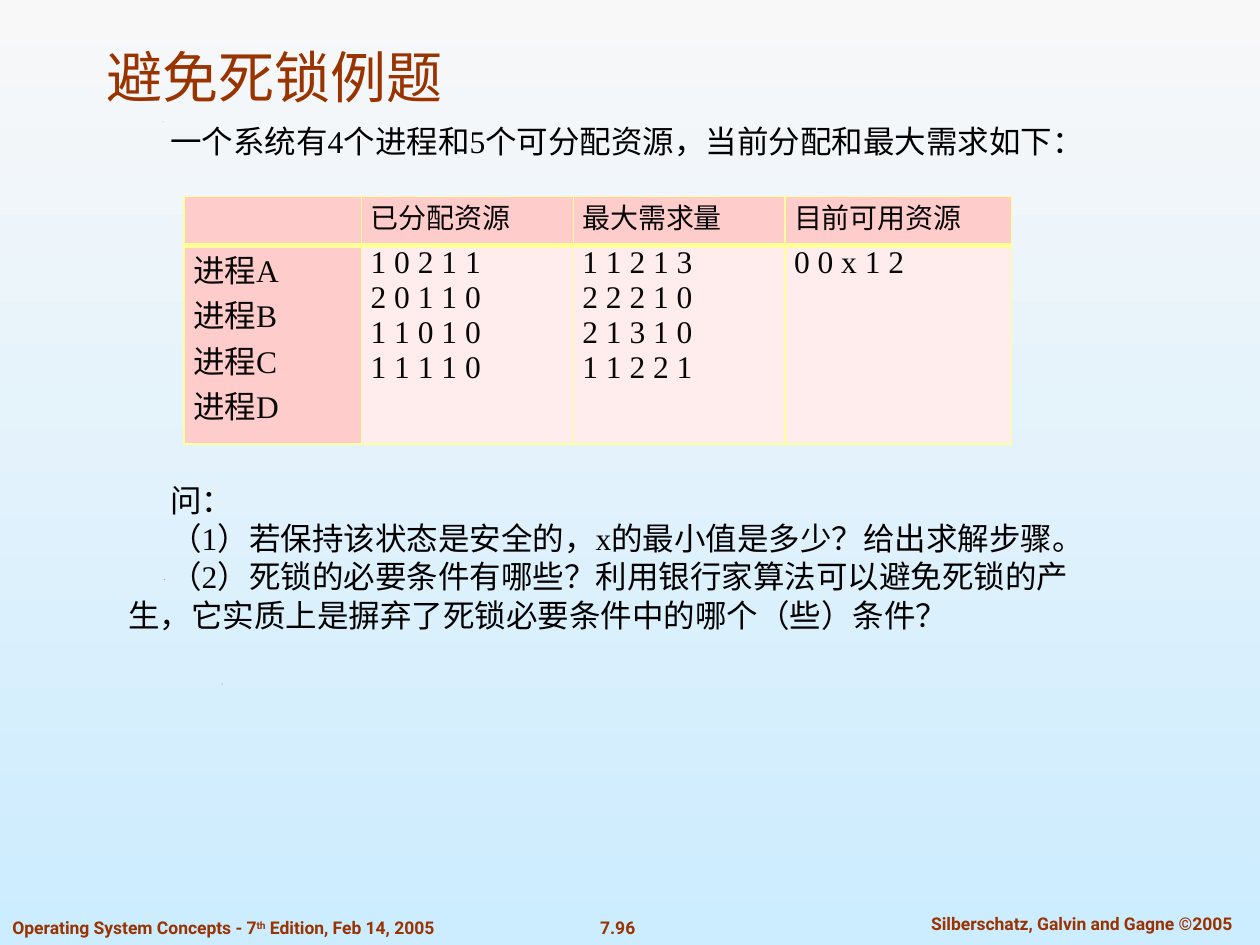
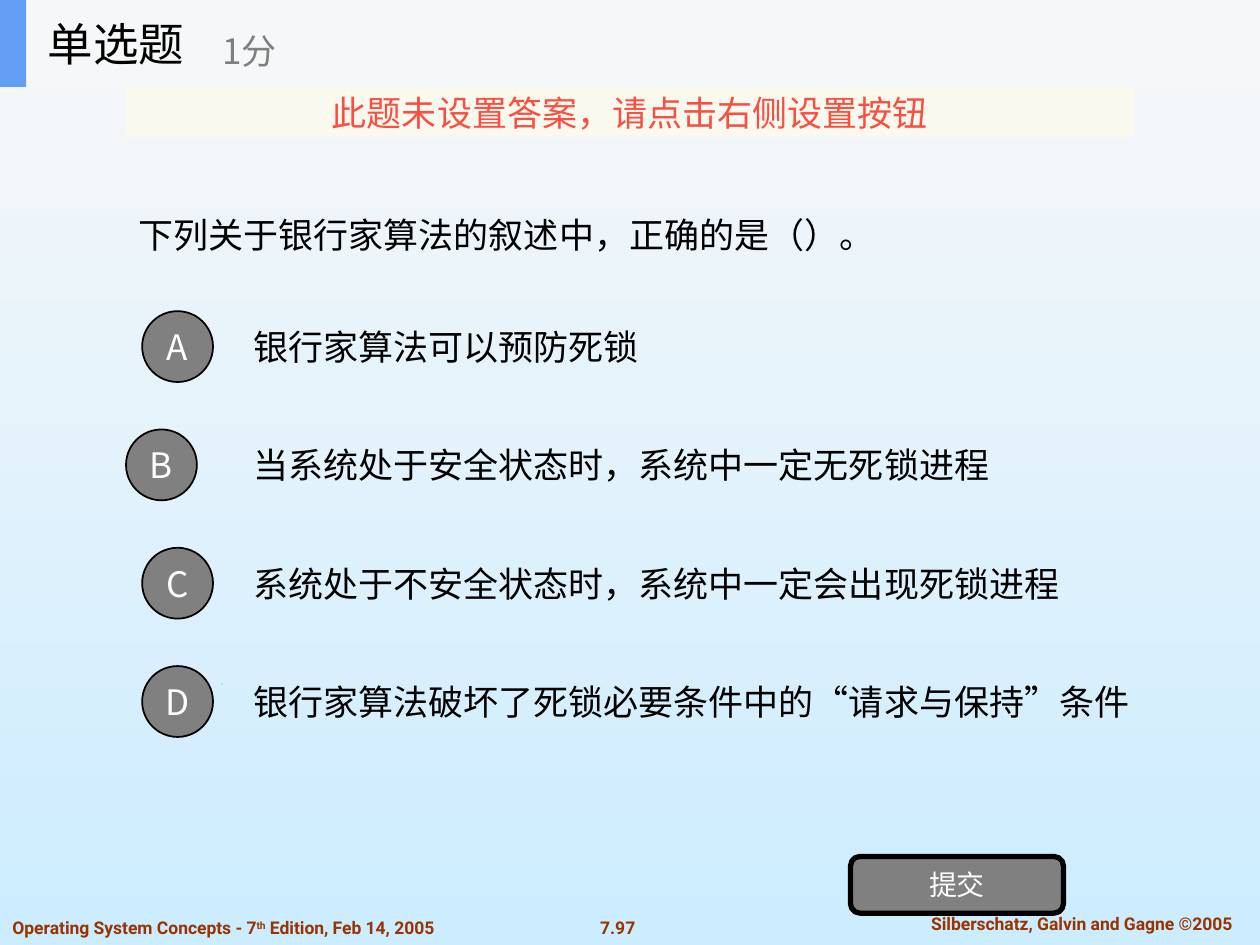
from lxml import etree
from pptx import Presentation
from pptx.dml.color import RGBColor
from pptx.enum import shapes, text
from pptx.oxml import ns
from pptx.util import Pt

BLACK = RGBColor(0x00, 0x00, 0x00)
WHITE = RGBColor(0xFF, 0xFF, 0xFF)
GRAY = RGBColor(0x80, 0x80, 0x80)
BROWN = RGBColor(0x99, 0x33, 0x00)
SKY_TOP = RGBColor(0xF8, 0xF8, 0xF8)
SKY_BOTTOM = RGBColor(0xCC, 0xEC, 0xFF)
HEADER_PINK = RGBColor(0xFF, 0xCC, 0xCC)
CELL_PINK = RGBColor(0xFF, 0xEC, 0xEC)
BORDER_YELLOW = RGBColor(0xFF, 0xFF, 0x99)
TABLE_INK = RGBColor(0x08, 0x08, 0x08)
BAND = RGBColor(0xF6, 0xF7, 0xF8)
BLUE = RGBColor(0x63, 0x9E, 0xF4)
NOTICE_FILL = RGBColor(0xFB, 0xFA, 0xEF)
NOTICE_RED = RGBColor(0xF8, 0x4F, 0x41)

CJK, ROBOTO, TIMES = "Noto Sans CJK SC", "Roboto", "Times New Roman"
LEFT, CENTER, JUSTIFY = text.PP_ALIGN.LEFT, text.PP_ALIGN.CENTER, text.PP_ALIGN.JUSTIFY
TOP, MIDDLE, BOTTOM = (text.MSO_ANCHOR.TOP, text.MSO_ANCHOR.MIDDLE,
                       text.MSO_ANCHOR.BOTTOM)
SPECKS = [(126.7, 391), (93.6, 331.2), (406.8, 331.2), (92.9, 69.8)]


class Deck:
    """Holds the shared style and the current slide."""

    def __init__(self):
        self.presentation = Presentation()
        self.presentation.slide_width = Pt(720)
        self.presentation.slide_height = Pt(540)
        self.slide = None

    def new_slide(self, number):
        layout = self.presentation.slide_layouts[6]
        self.slide = self.presentation.slides.add_slide(layout)
        fill = self.slide.background.fill
        fill.gradient()
        fill.gradient_angle = 270
        for stop, color in zip(fill.gradient_stops, (SKY_TOP, SKY_BOTTOM)):
            stop.color.rgb = color
        for x, y in SPECKS:
            self.speck(x, y)
        footer = dict(size=10, font=ROBOTO, color=BROWN, bold=True)
        self.text((324, 520.5, 58, 19.5), [number], align=CENTER, **footer)
        self.text((511.2, 518.4, 213.8, 19.5),
                  ["Silberschatz, Galvin and Gagne ©2005"], align=CENTER, **footer)
        frame = self.text((0, 520.5, 301.7, 19.5),
                          ["Operating System Concepts - 7"], **footer)
        paragraph = frame.paragraphs[0]
        ordinal = self.run(paragraph, "th", **footer)
        ordinal.font._element.set("baseline", "30000")
        self.run(paragraph, " Edition, Feb 14, 2005", **footer)

    def speck(self, x, y):
        builder = self.slide.shapes.build_freeform(Pt(x), Pt(y))
        builder.add_line_segments([(Pt(x + 0.5), Pt(y - 0.3)), (Pt(x + 0.3), Pt(y))])
        self.paint(builder.convert_to_shape(), BLACK)

    def paint(self, shape, fill, line=None, width=1):
        shape.shadow.inherit = False
        shape.fill.solid()
        shape.fill.fore_color.rgb = fill
        if line is None:
            shape.line.fill.background()
        else:
            shape.line.color.rgb = line
            shape.line.width = Pt(width)

    def run(self, paragraph, words, size=20, font=CJK, color=BLACK, bold=False):
        run = paragraph.add_run()
        run.text = words
        run.font.size = Pt(size)
        run.font.bold = bold
        run.font.color.rgb = color
        run.font.name = font
        etree.SubElement(run.font._element, ns.qn("a:ea"), typeface=CJK)
        return run

    def paragraphs(self, frame, lines, align=LEFT, indent=0, spacing=None, **style):
        for index, words in enumerate(lines):
            paragraph = frame.add_paragraph() if index else frame.paragraphs[0]
            paragraph.alignment = align
            if spacing:
                paragraph.line_spacing = Pt(spacing)
            if indent:
                properties = paragraph._p.get_or_add_pPr()
                properties.set("marL", "0")
                properties.set("indent", str(Pt(indent)))
            self.run(paragraph, words, **style)

    def text(self, box, lines, anchor=TOP, **style):
        frame = self.slide.shapes.add_textbox(*map(Pt, box)).text_frame
        frame.word_wrap = True
        frame.vertical_anchor = anchor
        self.paragraphs(frame, lines, **style)
        return frame

    def shape(self, kind, box, fill, words=None, line=None, width=1, **style):
        shape = self.slide.shapes.add_shape(kind, *map(Pt, box))
        self.paint(shape, fill, line, width)
        if words:
            frame = shape.text_frame
            frame.margin_left = frame.margin_right = 0
            frame.margin_top = frame.margin_bottom = 0
            frame.vertical_anchor = MIDDLE
            self.paragraphs(frame, [words], align=CENTER, **style)
        return shape

    def border(self, cell, widths):
        properties = cell._tc.get_or_add_tcPr()
        for index, (side, width) in enumerate(zip("LRTB", widths)):
            line = etree.Element(ns.qn(f"a:ln{side}"), w=str(Pt(width)))
            fill = etree.SubElement(line, ns.qn("a:solidFill"))
            etree.SubElement(fill, ns.qn("a:srgbClr"), val=str(BORDER_YELLOW))
            properties.insert(index, line)

    def table(self, left, top, widths, heights, rows):
        frame = self.slide.shapes.add_table(
            len(rows), len(widths), Pt(left), Pt(top), Pt(sum(widths)), Pt(sum(heights)))
        table = frame.table
        table.first_row = table.horz_banding = False
        for column, width in zip(table.columns, widths):
            column.width = Pt(width)
        for r, (height, row) in enumerate(zip(heights, rows)):
            table.rows[r].height = Pt(height)
            for c, lines in enumerate(row):
                cell = table.cell(r, c)
                cell.margin_left = cell.margin_right = Pt(5.2)
                cell.margin_top = cell.margin_bottom = 0
                cell.fill.solid()
                cell.fill.fore_color.rgb = CELL_PINK if r and c else HEADER_PINK
                self.border(cell, (1, 1, 3, 1) if r else (1, 1, 1, 3))
                self.paragraphs(cell.text_frame, lines, align=JUSTIFY, color=TABLE_INK,
                                size=18 if r else 16, font=TIMES if r else CJK)


def exercise_slide(deck):
    deck.new_slide("7.96")
    deck.text((54, 18, 635.8, 48.2), ["避免死锁例题"], anchor=BOTTOM,
              size=32, font=ROBOTO, color=BROWN, spacing=38.6)
    deck.table(105.1, 112.3, [101.5, 121, 121, 129.5], [28, 113.4], [
        [[], ["已分配资源"], ["最大需求量"], ["目前可用资源"]],
        [[f"进程{name}" for name in "ABCD"],
         ["1 0 2 1 1", "2 0 1 1 0", "1 1 0 1 0", "1 1 1 1 0"],
         ["1 1 2 1 3", "2 2 2 1 0", "2 1 3 1 0", "1 1 2 2 1"],
         ["0 0 x 1 2"]]])
    body = dict(size=18, font=TIMES, indent=24, spacing=21.75)
    deck.text((66.2, 66.2, 560.2, 28.8),
              ["一个系统有4个进程和5个可分配资源，当前分配和最大需求如下："], **body)
    deck.text((66.2, 271.4, 560.2, 94.3), [
        "问：",
        "（1）若保持该状态是安全的，x的最小值是多少？给出求解步骤。",
        "（2）死锁的必要条件有哪些？利用银行家算法可以避免死锁的产生，"
        "它实质上是摒弃了死锁必要条件中的哪个（些）条件？"], **body)


def quiz_slide(deck):
    deck.new_slide("7.97")
    deck.text((72, 49.7, 576, 168.5), ["下列关于银行家算法的叙述中，正确的是（）。"],
              anchor=MIDDLE)
    options = [("A", 81.2, "银行家算法可以预防死锁"),
               ("B", 72, "当系统处于安全状态时，系统中一定无死锁进程"),
               ("C", 81.2, "系统处于不安全状态时，系统中一定会出现死锁进程"),
               ("D", 81.2, "银行家算法破坏了死锁必要条件中的“请求与保持”条件")]
    for index, (letter, left, answer) in enumerate(options):
        top = 172.8 + 67.6 * index
        deck.text((137.5, top, 540.7, 50.4), [answer], anchor=MIDDLE)
        deck.shape(shapes.MSO_SHAPE.OVAL, (left, top + 5, 40.5, 40.5), GRAY,
                   letter, line=BLACK, color=WHITE)
    deck.shape(shapes.MSO_SHAPE.ROUNDED_RECTANGLE, (486, 489.4, 121.7, 32.4), GRAY,
               "提交", line=BLACK, width=3, size=16, color=WHITE)
    rectangle = shapes.MSO_SHAPE.RECTANGLE
    deck.shape(rectangle, (0, 0, 720, 49.7), BAND)
    deck.shape(rectangle, (0, 0, 15, 49.7), BLUE)
    deck.text((20.2, 0, 149.8, 49.7), ["单选题"], anchor=MIDDLE, size=26)
    deck.text((120, 8.6, 180, 40.3), ["1分"], anchor=MIDDLE, color=GRAY)
    notice = deck.shape(rectangle, (72, 49.7, 576, 28.8), NOTICE_FILL,
                        "此题未设置答案，请点击右侧设置按钮", color=NOTICE_RED)
    color = notice.fill._xPr.find(ns.qn("a:solidFill"))[0]
    etree.SubElement(color, ns.qn("a:alpha"), val="90000")


def main():
    deck = Deck()
    exercise_slide(deck)
    quiz_slide(deck)
    deck.presentation.save("out.pptx")


if __name__ == "__main__":
    main()
